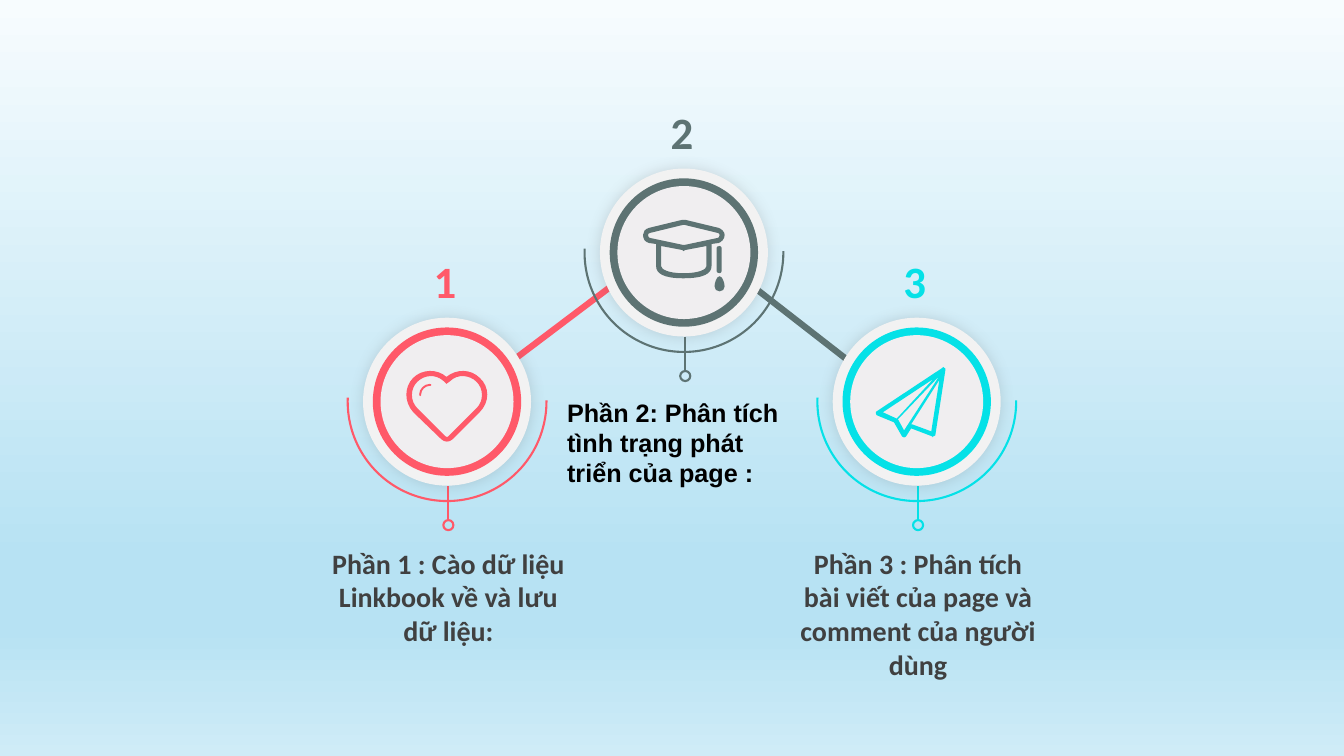
from lxml.etree import SubElement
from pptx import Presentation
from pptx.dml.color import RGBColor
from pptx.enum.shapes import MSO_CONNECTOR, MSO_SHAPE
from pptx.enum.text import MSO_AUTO_SIZE, PP_ALIGN
from pptx.oxml.ns import qn
from pptx.util import Pt

RED, GREY, CYAN = "FF5969", "5D7373", "05E1E7"
RIM, FACE, CAPTION = "F2F2F2", "F0EEF0", "404040"
SKY = [(0, "F7FCFE"), (74, "B7E2F3"), (83, "B7E2F3"), (100, "CFECF7")]
ICON_UNIT = 0.72  # points per icon grid step
ICON_LEFT = -29.2  # from badge centre

# An icon is a list of parts, a part a list of contours. In a contour,
# two numbers are a straight step and six are a cubic curve.
HEART = [
    [
        [(73, 7), (64, -2, 50, -2, 40, 6), (31, -2, 16, -2, 7, 7),
         (-2, 16, -2, 31, 7, 41), (35, 68), (38, 71, 43, 71, 46, 68),
         (73, 41), (83, 31, 83, 16, 73, 7)],
        [(70, 37), (42, 65), (41, 66, 40, 66, 39, 65), (11, 37),
         (4, 30, 4, 18, 11, 11), (18, 4, 29, 3, 37, 10), (40, 13), (44, 10),
         (51, 3, 63, 4, 70, 11), (77, 18, 77, 30, 70, 37)],
    ],
    [
        [(23, 13), (18, 13, 13, 18, 13, 23), (13, 24, 13, 25, 14, 25),
         (15, 25, 15, 24, 15, 23), (15, 19, 19, 15, 23, 15),
         (24, 15, 25, 15, 25, 14), (25, 13, 24, 13, 23, 13)],
    ],
]
GRADUATION_CAP = [
    [
        [(81, 15), (81, 12, 78, 9, 75, 8), (42, 0), (39, 0), (6, 8),
         (2, 9, 0, 12, 0, 15), (0, 19, 2, 22, 6, 23), (13, 24), (13, 46),
         (13, 53, 20, 58, 40, 58), (61, 58, 68, 53, 68, 46), (68, 24),
         (75, 23), (78, 22, 81, 19, 81, 15)],
        [(41, 25), (40, 25), (7, 18),
         (6, 18, 5, 17, 5, 15), (5, 14, 6, 13, 7, 13), (40, 5), (41, 5),
         (74, 13), (75, 13, 76, 14, 76, 15), (76, 17, 75, 18, 74, 18)],
        [(63, 46), (63, 49, 56, 53, 40, 53), (25, 53, 18, 49, 18, 46),
         (18, 26), (39, 30), (39, 31, 40, 31, 40, 31),
         (41, 31, 41, 31, 42, 30), (63, 26)],
    ],
    [
        [(73, 28), (73, 51), (73, 52, 74, 53, 76, 53),
         (77, 53, 78, 52, 78, 51), (78, 28), (78, 27, 77, 26, 76, 26),
         (74, 26, 73, 27, 73, 28)],
    ],
    [
        [(76, 56), (73, 56, 71, 63, 71, 66), (71, 69, 73, 71, 76, 71),
         (79, 71, 81, 69, 81, 66), (81, 63, 79, 56, 76, 56)],
    ],
]
PAPER_PLANE = [
    [
        [(68, 1), (68, 1, 68, 0, 67, 0), (67, 0, 66, 1, 66, 1), (1, 44),
         (0, 44, 0, 45, 0, 46), (0, 47, 1, 48, 1, 48), (18, 55), (26, 69),
         (27, 69, 27, 70, 28, 70), (29, 70, 30, 69, 30, 69), (35, 61),
         (56, 69), (56, 70), (57, 70, 57, 70, 57, 69),
         (58, 69, 58, 68, 59, 68), (69, 3), (69, 2, 69, 1, 68, 1)],
        [(55, 64), (36, 57), (35, 57), (63, 13)],
        [(22, 52), (63, 9), (28, 63)],
        [(7, 45), (57, 12), (21, 51), (20, 51)],
    ],
]


def rgb(value):
    return RGBColor.from_string(value)


def paint_background(page, stops):
    fill = page.background.fill
    fill.gradient()
    fill.gradient_angle = 270
    stop_list = page._element.find(".//" + qn("a:gsLst"))
    for stop in list(stop_list):
        stop_list.remove(stop)
    for percent, color in stops:
        stop = SubElement(stop_list, qn("a:gs"), pos=str(percent * 1000))
        SubElement(stop, qn("a:srgbClr"), val=color)


def style_shape(shape, fill=None, line=None):
    shape.shadow.inherit = False
    if fill:
        shape.fill.solid()
        shape.fill.fore_color.rgb = rgb(fill)
    else:
        shape.fill.background()
    if line:
        shape.line.color.rgb = rgb(line)
        shape.line.width = Pt(1.5)
    else:
        shape.line.fill.background()


def add_round(page, center_x, center_y, size, kind=MSO_SHAPE.OVAL, **style):
    """Add a circle or arc by its centre and diameter."""
    shape = page.shapes.add_shape(kind, Pt(center_x - size / 2),
                                  Pt(center_y - size / 2), Pt(size), Pt(size))
    style_shape(shape, **style)
    return shape


def add_glow(shape):
    """Give the shape a soft shadow without offset."""
    effects = shape._element.spPr.find(qn("a:effectLst"))
    shadow = SubElement(effects, qn("a:outerShdw"), blurRad=str(Pt(10)),
                        dist="0", dir="0", algn="ctr", rotWithShape="0")
    color = SubElement(shadow, qn("a:srgbClr"), val="595959")
    SubElement(color, qn("a:alpha"), val="20000")


def add_line(page, start, end, color, width):
    line = page.shapes.add_connector(MSO_CONNECTOR.STRAIGHT,
                                     *map(Pt, start + end))
    line.line.color.rgb = rgb(color)
    line.line.width = Pt(width)
    SubElement(line._element.spPr, qn("a:effectLst"))


def add_text(page, text, center_x, top, width, height, *, size, color,
             font="Calibri", align=PP_ALIGN.CENTER):
    box = page.shapes.add_textbox(Pt(center_x - width / 2), Pt(top),
                                  Pt(width), Pt(height))
    box.text_frame.word_wrap = True
    box.text_frame.auto_size = MSO_AUTO_SIZE.SHAPE_TO_FIT_TEXT
    para = box.text_frame.paragraphs[0]
    para.alignment = align
    span = para.add_run()
    span.text = text
    span.font.name = font
    span.font.size = Pt(size)
    span.font.bold = True
    span.font.color.rgb = rgb(color)


def bend_curves(shape, part):
    """Merge the three straight lines of each six-number step into a curve."""
    lines = iter(shape._element.findall(".//" + qn("a:lnTo")))
    for contour in part:
        for step in contour[1:]:
            first = next(lines)
            if len(step) == 2:
                continue
            curve = first.makeelement(qn("a:cubicBezTo"))
            first.addprevious(curve)
            for line in (first, next(lines), next(lines)):
                curve.append(line[0])
                line.getparent().remove(line)


def add_icon(page, icon, left, top, color):
    group = page.shapes.add_group_shape()
    for part in icon:
        builder = None
        for contour in part:
            points = [(Pt(left + step[i] * ICON_UNIT),
                       Pt(top + step[i + 1] * ICON_UNIT))
                      for step in contour for i in range(0, len(step), 2)]
            if builder is None:
                builder = group.shapes.build_freeform(*points[0])
            else:
                builder.move_to(*points[0])
            builder.add_line_segments(points[1:], close=True)
        shape = builder.convert_to_shape()
        bend_curves(shape, part)
        style_shape(shape, fill=color)


def add_badge(page, number, x, y, color, icon, icon_top):
    add_line(page, (x + 1, y + 84.6), (x + 1, y + 60), color, 1.5)
    add_glow(add_round(page, x, y, 120, fill=RIM))
    add_round(page, x, y, 106, fill=color)
    add_round(page, x, y, 95, fill=FACE)
    arc = add_round(page, x, y, 142, MSO_SHAPE.ARC, line=color)
    arc.rotation = 135
    arc.adjustments[0], arc.adjustments[1] = 134.52, 28.37
    add_round(page, x + 1, y + 88.2, 7.2, line=color)
    add_text(page, number, x - 1.4, y - 109, 120, 46, size=32, color=color)
    add_icon(page, icon, x + ICON_LEFT, y + icon_top, color)


def main():
    deck = Presentation()
    deck.slide_width, deck.slide_height = Pt(960), Pt(540)
    page = deck.slides.add_slide(deck.slide_layouts[6])
    paint_background(page, SKY)
    add_line(page, (606.2, 257.8), (538.6, 205.2), GREY, 4.5)
    add_line(page, (365, 258.5), (435.6, 205.2), RED, 4.5)

    plain = dict(size=20, color=CAPTION)
    arial = dict(size=18, color="000000", font="Arial", align=PP_ALIGN.LEFT)
    sections = [
        (319.3, 286.9, RED, HEART, -22, 80, plain,
         "Phần 1 : Cào dữ liệu Linkbook về và lưu dữ liệu:"),
        (488.5, 180.4, GREY, GRADUATION_CAP, -23.4, 73, arial,
         "Phần 2: Phân tích tình trạng phát triển của page :"),
        (654.8, 286.9, CYAN, PAPER_PLANE, -24.8, 104, plain,
         "Phần 3 : Phân tích bài viết của page và comment của người dùng"),
    ]
    for number, section in enumerate(sections, 1):
        x, y, color, icon, icon_top, height, style, caption = section
        add_badge(page, str(number), x, y, color, icon, icon_top)
        add_text(page, caption, x + 1, y + 99.8, 183, height, **style)
    deck.save("out.pptx")


if __name__ == "__main__":
    main()
